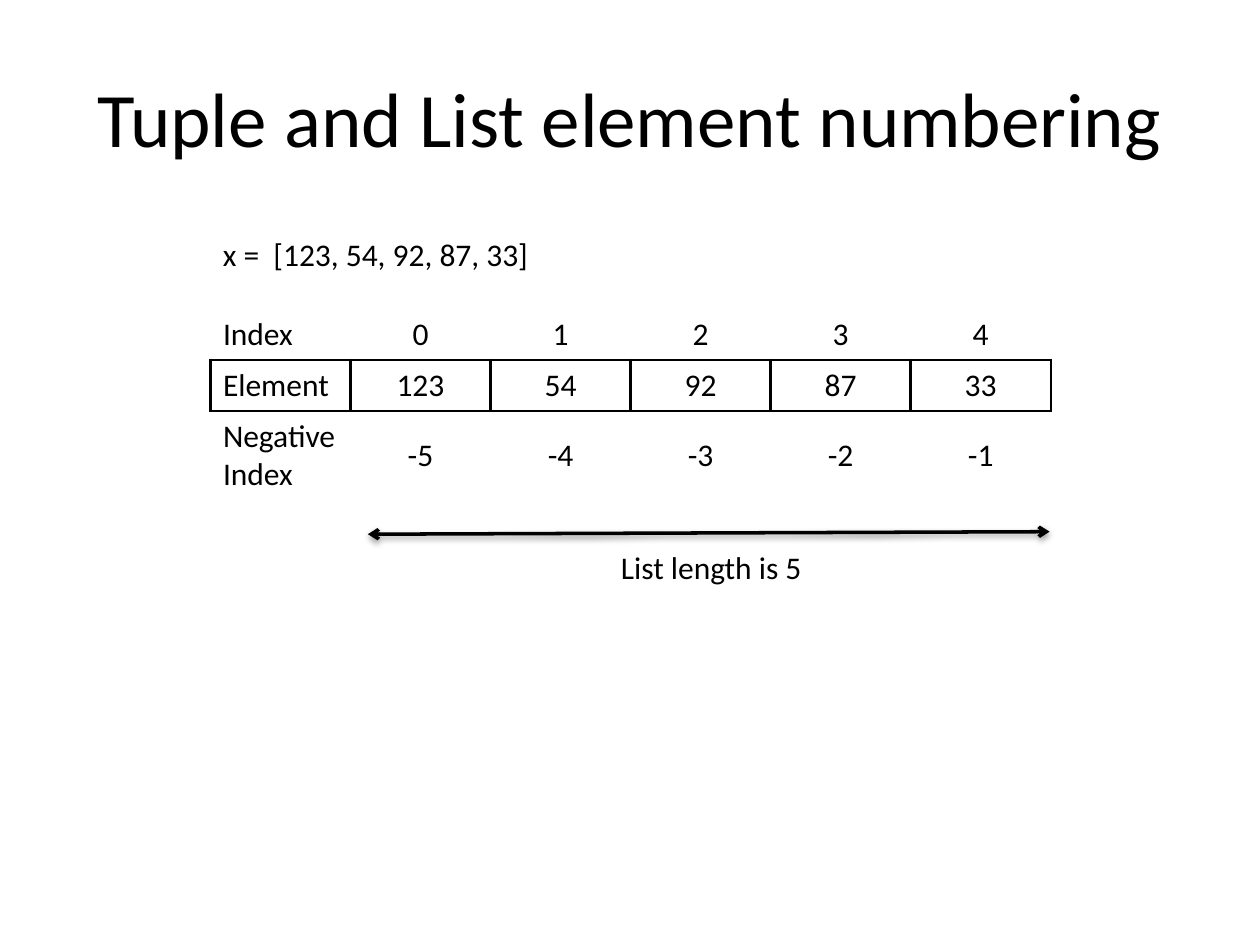
from pptx import Presentation
from pptx import util as u
from pptx.dml.color import RGBColor
from pptx.enum import shapes, text
from pptx.oxml import parse_xml
from pptx.oxml.ns import nsdecls

BLACK = RGBColor(0, 0, 0)
ELEMENTS = [123, 54, 92, 87, 33]
COUNT = len(ELEMENTS)
LEFT, TOP, WIDTH = 1.67, 2.45, 6.67
ROW_HEIGHTS = [0.4, 0.4, 0.7]


def style(paragraph, size=18, align=text.PP_ALIGN.LEFT):
    """Give a paragraph the slide's font, a size and an alignment."""
    paragraph.font.name = "Calibri"
    paragraph.font.size = u.Pt(size)
    paragraph.font.color.rgb = BLACK
    paragraph.alignment = align


def add_label(slide, words, left, top, width, wrap):
    """Add a one-line text box."""
    label = slide.shapes.add_textbox(
        u.Inches(left), u.Inches(top), u.Inches(width), u.Inches(0.4))
    label.text_frame.word_wrap = wrap
    label.text_frame.auto_size = text.MSO_AUTO_SIZE.SHAPE_TO_FIT_TEXT
    label.text_frame.text = words
    style(label.text_frame.paragraphs[0])


deck = Presentation()
deck.slide_width, deck.slide_height = u.Inches(10), u.Inches(7.5)
slide = deck.slides.add_slide(deck.slide_layouts[5])

title = slide.shapes.title
title.left, title.top = u.Inches(0.5), u.Inches(0.3)
title.width, title.height = u.Inches(9), u.Inches(1.25)
title.text_frame.text = "Tuple and List element numbering"
title.text_frame.vertical_anchor = text.MSO_ANCHOR.MIDDLE
style(title.text_frame.paragraphs[0], 44, text.PP_ALIGN.CENTER)

# Index table: only the element row is boxed
rows = [
    ["Index", *range(COUNT)],
    ["Element", *ELEMENTS],
    ["Negative Index", *range(-COUNT, 0)],
]
borders = ["B", "LRTB", "T"]
index_table = slide.shapes.add_table(
    len(rows), COUNT + 1, u.Inches(LEFT), u.Inches(TOP),
    u.Inches(WIDTH), u.Inches(sum(ROW_HEIGHTS))).table
index_table.first_row = False
index_table.horz_banding = False
for column in index_table.columns:
    column.width = u.Inches(WIDTH / (COUNT + 1))

for r, values in enumerate(rows):
    index_table.rows[r].height = u.Inches(ROW_HEIGHTS[r])
    for c, value in enumerate(values):
        cell = index_table.cell(r, c)
        cell.text = str(value)
        cell.fill.background()
        style(cell.text_frame.paragraphs[0],
              align=text.PP_ALIGN.CENTER if c else text.PP_ALIGN.LEFT)
        if c:
            cell.vertical_anchor = text.MSO_ANCHOR.MIDDLE
        for position, side in enumerate("LRTB"):
            paint = (f'<a:solidFill><a:srgbClr val="{BLACK}"/></a:solidFill>'
                     if side in borders[r] else "<a:noFill/>")
            cell._tc.get_or_add_tcPr().insert(position, parse_xml(
                f'<a:ln{side} {nsdecls("a")} w="{u.Pt(1.5)}">{paint}</a:ln{side}>'))

add_label(slide, "x =  [123, 54, 92, 87, 33]", LEFT, 1.82, 4.32, True)

# Length arrow with a soft shadow below it
length_arrow = slide.shapes.add_connector(
    shapes.MSO_CONNECTOR.STRAIGHT,
    u.Inches(2.92), u.Inches(4.24), u.Inches(8.33), u.Inches(4.22))
length_arrow.line.color.rgb = BLACK
length_arrow.line.width = u.Pt(2)
for end in ("headEnd", "tailEnd"):
    length_arrow.line._get_or_add_ln().append(
        parse_xml(f'<a:{end} {nsdecls("a")} type="arrow"/>'))
length_arrow._element.spPr.append(parse_xml(
    f'<a:effectLst {nsdecls("a")}>'
    f'<a:outerShdw blurRad="{u.Pt(3.1)}" dist="{u.Pt(1.6)}" dir="5400000" rotWithShape="0">'
    f'<a:srgbClr val="{BLACK}"><a:alpha val="38000"/></a:srgbClr>'
    '</a:outerShdw></a:effectLst>'))

add_label(slide, f"List length is {COUNT}", 4.83, 4.3, 1.66, False)

deck.save("out.pptx")
